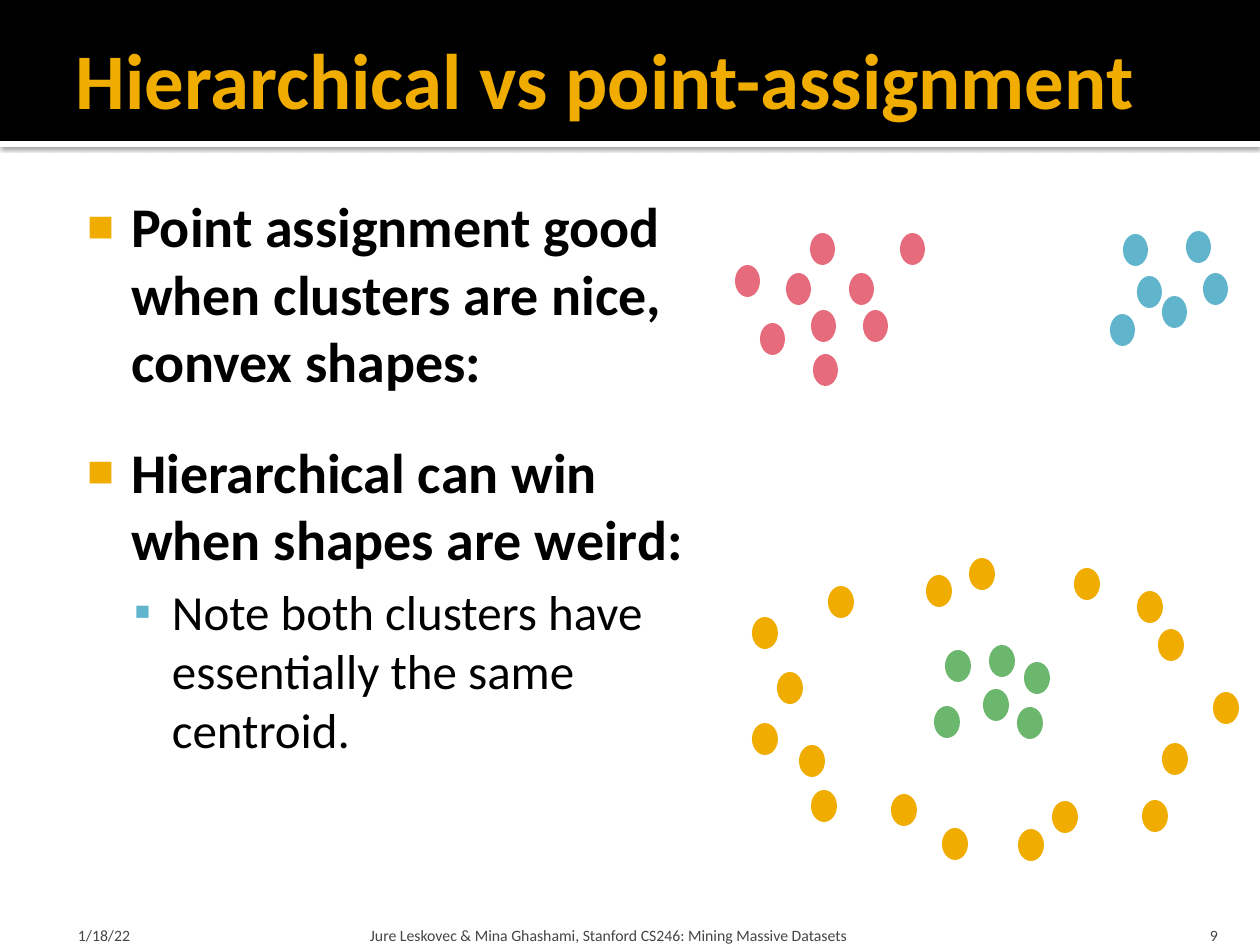
from lxml.etree import SubElement
from pptx import Presentation
from pptx.dml.color import RGBColor
from pptx.enum.shapes import MSO_SHAPE
from pptx.enum.text import MSO_ANCHOR, MSO_AUTO_SIZE, PP_ALIGN
from pptx.oxml.ns import qn
from pptx.util import Emu, Pt

EMU_PER_PX = 914400 / 126
GOLD, BLUE, RED, GREEN = "F0AD00", "60B5CC", "E66C7D", "6BB76D"
BLACK, WHITE, GREY = "000000", "FFFFFF", "454545"


def px(length):
    return Emu(round(length * EMU_PER_PX))


def color(value):
    return RGBColor.from_string(value)


def apply(target, values):
    for name, value in values.items():
        setattr(target, name, value)


class SlideBuilder:
    font_name = "Calibri"

    def __init__(self, presentation):
        self.slide = presentation.slides.add_slide(presentation.slide_layouts[5])

    def format_font(self, paragraph, size, fill, bold=False):
        apply(paragraph.font, {"name": self.font_name, "size": Pt(size), "bold": bold})
        paragraph.font.color.rgb = color(fill)

    def frame(self, holder, box, insets, anchor):
        apply(holder, dict(zip(("left", "top", "width", "height"), map(px, box))))
        margins = ("margin_left", "margin_top", "margin_right", "margin_bottom")
        text_frame = holder.text_frame
        apply(text_frame, dict(zip(margins, map(px, insets))))
        apply(text_frame, {"word_wrap": True, "auto_size": MSO_AUTO_SIZE.NONE,
                           "vertical_anchor": anchor})
        return text_frame

    def shape(self, kind, box, fill, parent=None):
        shape = (parent or self.slide).shapes.add_shape(kind, *map(px, box))
        shape.shadow.inherit = False
        shape.fill.solid()
        shape.fill.fore_color.rgb = color(fill)
        shape.line.fill.background()
        return shape

    def shadowed_bar(self, box, fill):
        bar = self.shape(MSO_SHAPE.RECTANGLE, box, fill)
        effects = bar.element.spPr.find(qn("a:effectLst"))
        shadow = SubElement(effects, qn("a:outerShdw"), blurRad=str(Pt(2.5)),
                            dist=str(Pt(0.8)), dir="5400000", rotWithShape="0")
        shade = SubElement(shadow, qn("a:srgbClr"), val=BLACK)
        SubElement(shade, qn("a:alpha"), val="60000")

    def title(self, text, box):
        title = self.slide.shapes.title
        self.slide.shapes.element.append(title.element)
        text_frame = self.frame(title, box, (13, 6, 6, 6), MSO_ANCHOR.MIDDLE)
        text_frame.text = text
        heading = text_frame.paragraphs[0]
        heading.alignment = PP_ALIGN.LEFT
        self.format_font(heading, 45, GOLD, True)

    def bullets(self, points, box):
        holder = self.slide.shapes.add_textbox(0, 0, 0, 0)
        text_frame = self.frame(holder, box, (8, 13, 13, 6), MSO_ANCHOR.TOP)
        for index, (text, style, space) in enumerate(points):
            point = text_frame.add_paragraph() if index else text_frame.paragraphs[0]
            point.text = text
            properties = point._p.get_or_add_pPr()
            apply_indent = {"marL": style["indent"], "indent": -style["hang"]}
            for name, length in apply_indent.items():
                properties.set(name, str(px(length)))
            tint = SubElement(properties, qn("a:buClr"))
            SubElement(tint, qn("a:srgbClr"), val=style["tint"])
            SubElement(properties, qn("a:buSzPct"), val=style["scale"])
            SubElement(properties, qn("a:buFont"), typeface="Arial")
            SubElement(properties, qn("a:buChar"), char=style["mark"])
            if space:
                point.space_before = Pt(space)
            self.format_font(point, style["size"], BLACK, style["bold"])

    def footer(self, text, box, insets, alignment=PP_ALIGN.LEFT):
        holder = self.slide.shapes.add_textbox(0, 0, 0, 0)
        text_frame = self.frame(holder, box, insets, MSO_ANCHOR.BOTTOM)
        text_frame.text = text
        line = text_frame.paragraphs[0]
        line.alignment = alignment
        self.format_font(line, 9, GREY)

    def clusters(self, dot_width, *clusters):
        group = self.slide.shapes.add_group_shape()
        for fill, points in clusters:
            for left, top in points:
                self.shape(MSO_SHAPE.OVAL, (left, top, dot_width, 32), fill, group)


def main():
    presentation = Presentation()
    apply(presentation, {"slide_width": px(1260), "slide_height": px(945)})
    builder = SlideBuilder(presentation)

    builder.shadowed_bar((0, 141, 1260, 6), WHITE)
    builder.shape(MSO_SHAPE.RECTANGLE, (0, 0, 1260, 141), BLACK)
    builder.title("Hierarchical vs point-assignment", (63, 10, 1134, 136))

    claim = {"indent": 60, "hang": 44, "mark": "■", "tint": GOLD,
             "scale": "80000", "size": 32, "bold": True}
    note = {"indent": 101, "hang": 38, "mark": "▪", "tint": BLUE,
            "scale": "100000", "size": 28, "bold": False}
    builder.bullets([
        ("Point assignment good when clusters are nice, convex shapes:", claim, 0),
        ("Hierarchical can win when shapes are weird:", claim, 25),
        ("Note both clusters have essentially the same centroid.", note, 5.6),
    ], (63, 179, 648, 724))

    left_cluster = [(735, 265), (810, 233), (786, 273), (849, 273), (760, 323),
                    (811, 310), (863, 310), (813, 354), (900, 233)]
    right_cluster = [(1137, 276), (1162, 296), (1203, 273), (1123, 234),
                     (1110, 314), (1186, 231)]
    ring = [(752, 617), (828, 586), (1074, 568), (942, 828), (777, 672),
            (1142, 800), (1162, 743), (811, 790), (969, 558), (1052, 801),
            (1213, 692), (891, 794), (1158, 629), (1018, 829), (1137, 591),
            (799, 745), (752, 723), (926, 575)]
    core = [(989, 645), (983, 689), (1024, 662), (945, 650), (934, 706), (1017, 707)]
    builder.clusters(25, (RED, left_cluster), (BLUE, right_cluster))
    builder.clusters(26, (GOLD, ring), (GREEN, core))

    builder.footer("1/18/22", (63, 907, 294, 38), (15, 6, 6, 0))
    builder.footer("Jure Leskovec & Mina Ghashami, Stanford CS246: Mining Massive Datasets",
                   (364, 907, 759, 38), (6, 6, 6, 0))
    builder.footer("9", (1130, 907, 101, 38), (13, 6, 13, 0), PP_ALIGN.RIGHT)
    presentation.save("out.pptx")


if __name__ == "__main__":
    main()
